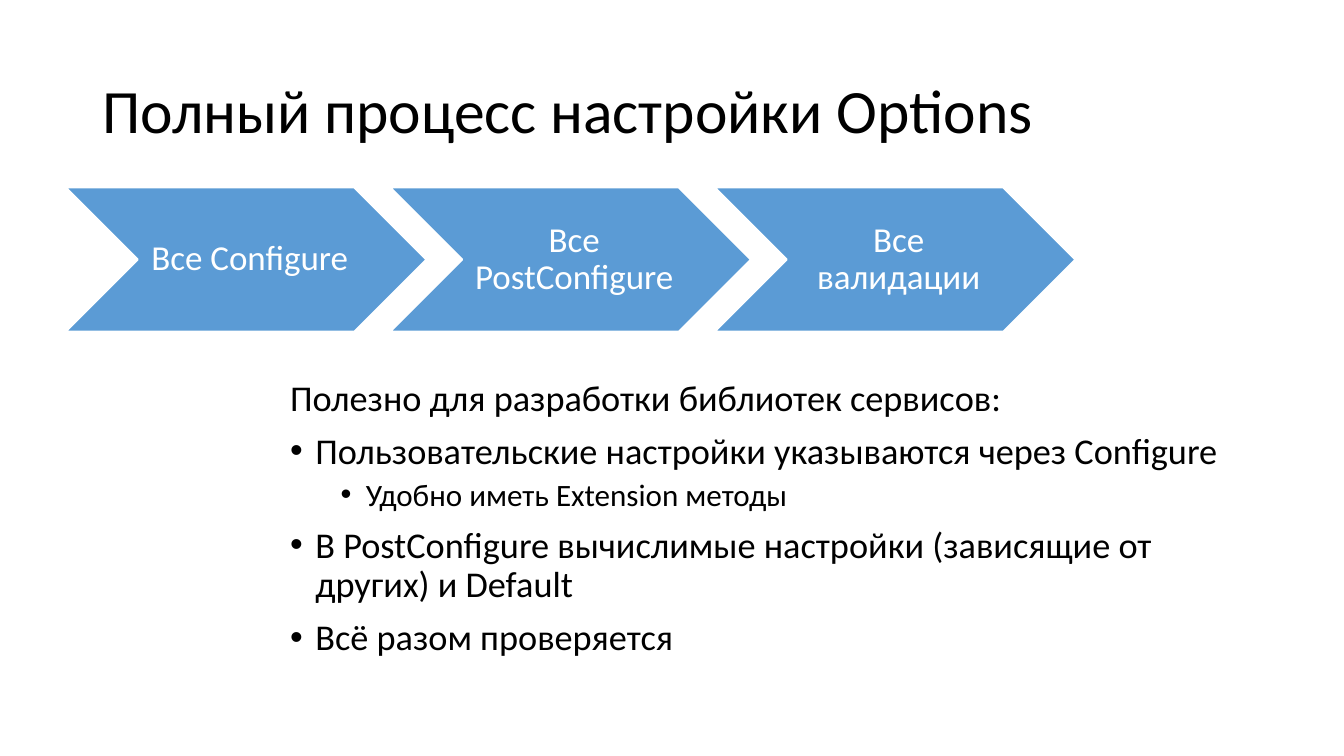
from lxml.etree import SubElement
from pptx import Presentation
from pptx.dml.color import RGBColor
from pptx.enum.shapes import MSO_SHAPE as Shape
from pptx.enum.text import MSO_ANCHOR as Anchor, MSO_AUTO_SIZE as AutoSize, PP_ALIGN as Align
from pptx.oxml.ns import qn
from pptx.util import Pt

FONT = "Calibri"
BLACK, WHITE, BLUE = "000000", "FFFFFF", "5B9BD5"

TITLE = "Полный процесс настройки Options"
STEPS = ["Все Configure", "Все PostConfigure", "Все валидации"]
# Text, level (None: no bullet)
NOTES = [
    ("Полезно для разработки библиотек сервисов:", None),
    ("Пользовательские настройки указываются через Configure", 0),
    ("Удобно иметь Extension методы", 1),
    ("В PostConfigure вычислимые настройки (зависящие от других) и Default", 0),
    ("Всё разом проверяется", 0),
]

# Left, top, width, height in points
TITLE_AREA = (66, 28.8, 828, 104.4)
NOTES_AREA = (200.2, 267.8, 694, 218.9)
FIRST_STEP = (46.8, 133.9, 257.8, 103)
STEP_PITCH = 231.8
INDENT = 18
LEVEL_SHIFT = 36


def color(value):
    return RGBColor.from_string(value)


def write(para, text, size, shade, align=Align.LEFT):
    para.alignment = align
    para.line_spacing = 0.9
    span = para.add_run()
    span.text = text
    span.font.name = FONT
    span.font.size = Pt(size)
    span.font.color.rgb = color(shade)


def add_bullet(para, level):
    para.level = level
    props = para._p.get_or_add_pPr()
    props.set("marL", str(Pt(INDENT + level * LEVEL_SHIFT)))
    props.set("indent", str(-Pt(INDENT)))
    SubElement(props, qn("a:buFont")).set("typeface", "Arial")
    SubElement(props, qn("a:buChar")).set("char", "•")


deck = Presentation()
deck.slide_width, deck.slide_height = Pt(960), Pt(540)
page = deck.slides.add_slide(deck.slide_layouts[5])

# Title
title = page.shapes.title
title.left, title.top, title.width, title.height = map(Pt, TITLE_AREA)
title.text_frame.auto_size = AutoSize.NONE
title.text_frame.vertical_anchor = Anchor.MIDDLE
write(title.text_frame.paragraphs[0], TITLE, 44, BLACK)

# Notes under the process
frame = page.shapes.add_textbox(*map(Pt, NOTES_AREA)).text_frame
frame.word_wrap = True
for index, (text, level) in enumerate(NOTES):
    para = frame.add_paragraph() if index else frame.paragraphs[0]
    write(para, text, 22.2 if level else 25.9, BLACK)
    para.space_before = Pt(5 if level else 10)
    if level is not None:
        add_bullet(para, level)

# Process chevrons
left, top, width, height = FIRST_STEP
for index, text in enumerate(STEPS):
    step = page.shapes.add_shape(
        Shape.CHEVRON, Pt(left + index * STEP_PITCH), Pt(top), Pt(width), Pt(height))
    step.shadow.inherit = False
    step.fill.solid()
    step.fill.fore_color.rgb = color(BLUE)
    step.line.color.rgb = color(WHITE)
    step.line.width = Pt(1.5)
    frame = step.text_frame
    frame.word_wrap = True
    frame.vertical_anchor = Anchor.MIDDLE
    frame.margin_left = Pt(8)
    frame.margin_top = frame.margin_right = frame.margin_bottom = Pt(2.7)
    write(frame.paragraphs[0], text, 25, WHITE, Align.CENTER)

deck.save("out.pptx")
